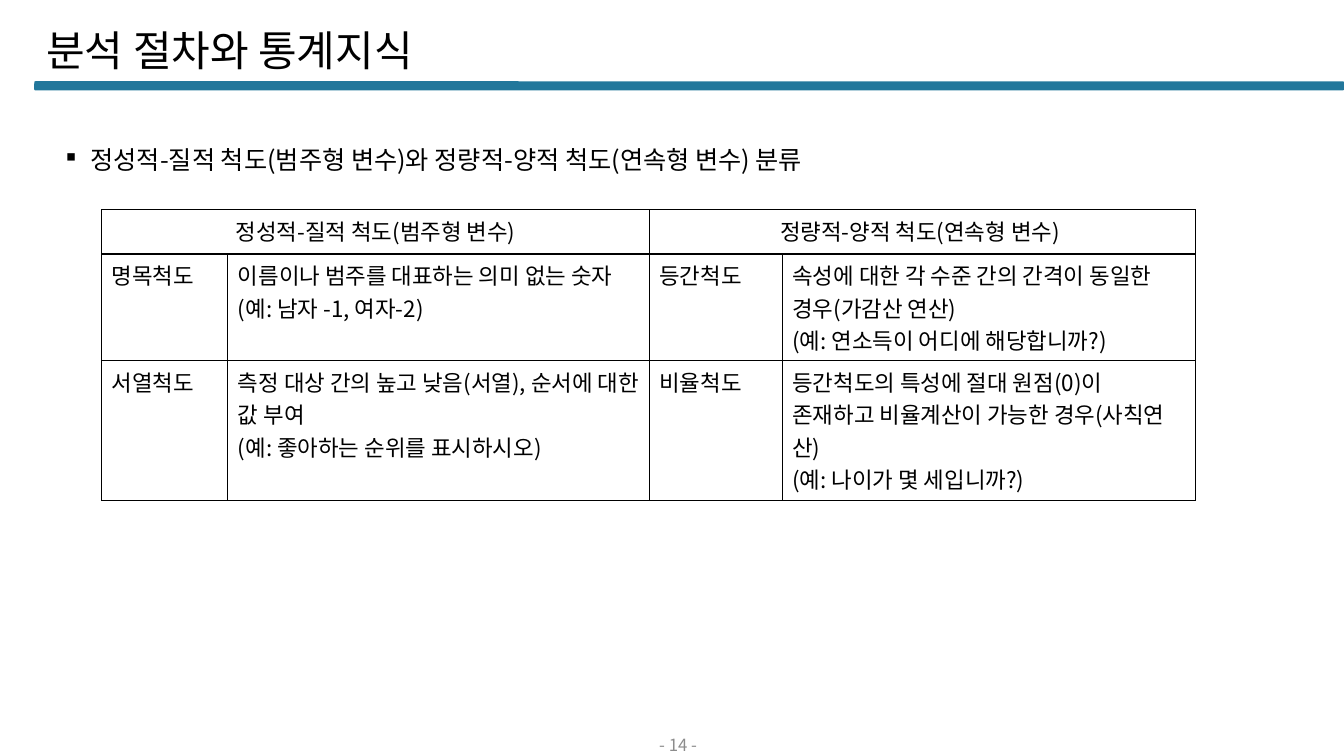
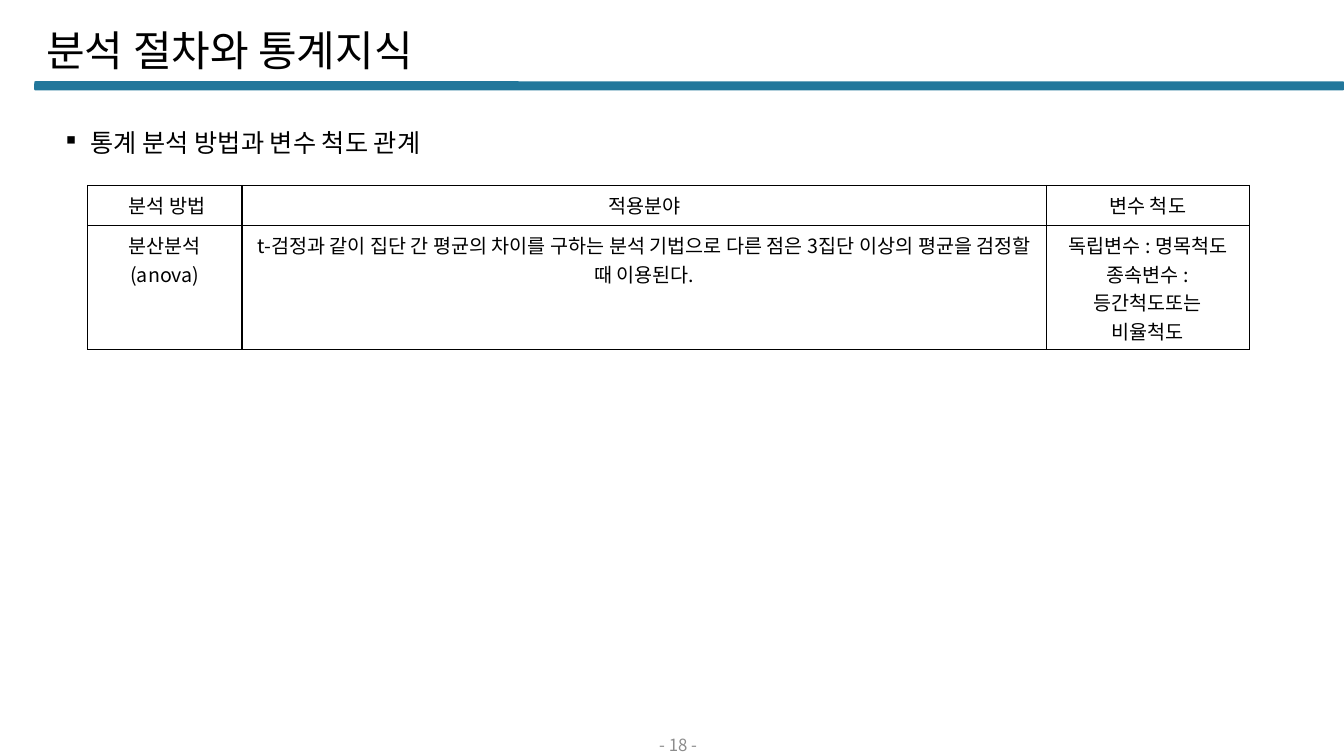
"""Build two slides on measurement scales and the analysis methods that use them."""
from copy import deepcopy
from dataclasses import dataclass
from typing import Any

from lxml.etree import SubElement
from pptx import Presentation
from pptx.dml.color import RGBColor
from pptx.enum.shapes import MSO_SHAPE
from pptx.enum.text import MSO_ANCHOR, MSO_AUTO_SIZE, PP_ALIGN
from pptx.oxml.ns import qn
from pptx.util import Inches, Pt

LEFT, CENTER = PP_ALIGN.LEFT, PP_ALIGN.CENTER
TOP, MIDDLE = MSO_ANCHOR.TOP, MSO_ANCHOR.MIDDLE
NO_AUTOFIT = MSO_AUTO_SIZE.NONE
ROUNDED = MSO_SHAPE.ROUNDED_RECTANGLE

SLIDE_WIDTH, SLIDE_HEIGHT = Inches(13.33), Inches(7.5)
FONT = "Noto Sans CJK KR"
BULLET_FONT, SQUARE = "Wingdings", "§"
BLACK, GREY, TEAL = "000000", "8C8C8C", "22779B"
TITLE = "분석 절차와 통계지식"


@dataclass(frozen=True)
class Area:
    """A rectangle in percent of the slide's width and height."""
    left: float
    top: float
    width: float
    height: float

    def emu(self) -> tuple[int, int, int, int]:
        """Return left, top, width and height in EMU."""
        return across(self.left), down(self.top), across(self.width), down(self.height)


@dataclass(frozen=True)
class Entry:
    """The text of one table cell, its alignment and the columns it spans."""
    text: str
    align: Any = LEFT
    span: int = 1


@dataclass(frozen=True)
class ScaleTable:
    """A ruled table; its lengths are in percent of the slide."""
    left: float
    top: float
    columns: tuple[float, ...]
    heights: tuple[float, ...]
    size: float
    rows: tuple[tuple[Entry, ...], ...]

    def area(self) -> Area:
        """Return the rectangle that the columns and rows fill."""
        return Area(self.left, self.top, sum(self.columns), sum(self.heights))


@dataclass(frozen=True)
class Page:
    """The content of one slide."""
    number: int
    topic: str
    topic_top: float
    table: ScaleTable


def across(percent: float) -> int:
    """Convert a share of the slide's width to EMU."""
    return round(SLIDE_WIDTH * percent / 100)


def down(percent: float) -> int:
    """Convert a share of the slide's height to EMU."""
    return round(SLIDE_HEIGHT * percent / 100)


def color(value: str) -> RGBColor:
    """Return the colour for a hex string."""
    return RGBColor.from_string(value)


def write(frame: Any, text: str, *, size: float, ink: str = BLACK, align: Any = LEFT,
          spacing: float | None = None, before: float | None = None,
          bullet: str | None = None) -> None:
    """Write text into a frame: a newline starts a paragraph, a vertical tab a line."""
    frame.word_wrap = True
    frame.text = text
    for paragraph in frame.paragraphs:
        paragraph.alignment = align
        if spacing is not None:
            paragraph.line_spacing = spacing
        if before is not None:
            paragraph.space_before = Pt(before)
        if bullet is not None:
            add_bullet(paragraph, bullet)
        for run in paragraph.runs:
            run.font.size = Pt(size)
            run.font.name = FONT
            run.font.color.rgb = color(ink)
            SubElement(run.font._element, qn("a:ea"), typeface=FONT)
        for line_break in paragraph._p.findall(qn("a:br")):
            line_break.append(deepcopy(paragraph.runs[0].font._element))


def add_bullet(paragraph: Any, mark: str) -> None:
    """Give a paragraph a hanging bullet."""
    properties = paragraph._p.get_or_add_pPr()
    hang = Inches(0.25)
    properties.set("marL", str(hang))
    properties.set("indent", str(-hang))
    SubElement(properties, qn("a:buFont"), typeface=BULLET_FONT, charset="2")
    SubElement(properties, qn("a:buChar"), char=mark)


def rule_cell(cell: Any) -> None:
    """Draw thin black borders on all sides of a cell and leave it unfilled."""
    properties = cell._tc.get_or_add_tcPr()
    for side in ("lnL", "lnR", "lnT", "lnB"):
        border = SubElement(properties, qn(f"a:{side}"), w=str(Pt(1)))
        SubElement(SubElement(border, qn("a:solidFill")), qn("a:srgbClr"), val=BLACK)
    cell.fill.background()


def draw_table(slide: Any, spec: ScaleTable) -> None:
    """Draw a ruled table with its merged headings."""
    grid = slide.shapes.add_table(len(spec.rows), len(spec.columns), *spec.area().emu()).table
    grid.first_row = grid.horz_banding = False
    for column, width in zip(grid.columns, spec.columns):
        column.width = across(width)
    for row, height in zip(grid.rows, spec.heights):
        row.height = down(height)
    for cell in grid.iter_cells():
        rule_cell(cell)
    for row_index, entries in enumerate(spec.rows):
        start = 0
        for entry in entries:
            cell = grid.cell(row_index, start)
            if entry.span > 1:
                cell.merge(grid.cell(row_index, start + entry.span - 1))
            write(cell.text_frame, entry.text, size=spec.size, align=entry.align)
            start += entry.span


def draw_title(slide: Any) -> None:
    """Place the shared title and the band below it."""
    band = slide.shapes.add_shape(ROUNDED, *Area(2.55, 10.75, 97.45, 1.2).emu())
    band.adjustments[0] = 0.13
    band.shadow.inherit = False
    band.fill.solid()
    band.fill.fore_color.rgb = color(TEAL)
    band.line.fill.background()
    heading = slide.shapes.title
    heading.left, heading.top, heading.width, heading.height = Area(2.7, 3.33, 86.27, 5.87).emu()
    frame = heading.text_frame
    frame.auto_size, frame.vertical_anchor = NO_AUTOFIT, TOP
    write(frame, TITLE, size=30, spacing=0.9)


def draw_footer(slide: Any, number: int) -> None:
    """Place the page number at the foot of the slide."""
    frame = slide.shapes.add_textbox(*Area(38.93, 96.93, 23.33, 3.07).emu()).text_frame
    frame.vertical_anchor = MIDDLE
    write(frame, f"- {number} - ", size=12, ink=GREY, align=CENTER)


def draw_topic(slide: Any, topic: str, top: float) -> None:
    """Place the bulleted topic line above the table."""
    frame = slide.shapes.add_textbox(*Area(4.13, top, 91.9, 7.87).emu()).text_frame
    write(frame, topic, size=18, spacing=0.9, before=10, bullet=SQUARE)


def draw_page(deck: Any, page: Page) -> None:
    """Add one slide with all its parts."""
    slide = deck.slides.add_slide(deck.slide_layouts[5])
    draw_title(slide)
    draw_footer(slide, page.number)
    draw_topic(slide, page.topic, page.topic_top)
    draw_table(slide, page.table)


SCALES = ScaleTable(
    7.58, 27.73, (9.38, 31.36, 9.9, 30.76), (5.87, 14.13, 18.53), 16,
    (
        (Entry("정성적-질적 척도(범주형 변수)", CENTER, 2),
         Entry("정량적-양적 척도(연속형 변수) ", CENTER, 2)),
        (Entry("명목척도"),
         Entry("이름이나 범주를 대표하는 의미 없는 숫자(예: 남자 -1, 여자-2)"),
         Entry("등간척도"),
         Entry("속성에 대한 각 수준 간의 간격이 동일한 경우(가감산 연산) "
               "\v(예: 연소득이 어디에 해당합니까?)")),
        (Entry("서열척도"),
         Entry("측정 대상 간의 높고 낮음(서열), 순서에 대한 값 부여"
               "\v(예: 좋아하는 순위를 표시하시오)"),
         Entry("비율척도"),
         Entry("등간척도의 특성에 절대 원점(0)이 존재하고 비율계산이 가능한 경우(사칙연산)"
               "\v(예: 나이가 몇 세입니까?)")),
    ),
)

METHODS = ScaleTable(
    6.53, 24.53, (11.48, 59.86, 15.08), (5.33, 16.4), 14,
    (
        (Entry(" 분석 방법", CENTER), Entry("적용분야", CENTER), Entry("변수 척도", CENTER)),
        (Entry("분산분석\n(anova)", CENTER),
         Entry("t-검정과 같이 집단 간 평균의 차이를 구하는 분석 기법으로 다른 점은 "
               "3집단 이상의 평균을 검정할 때 이용된다.", CENTER),
         Entry("독립변수 : 명목척도\v종속변수 : 등간척도또는 비율척도", CENTER)),
    ),
)

PAGES = (
    Page(14, "정성적-질적 척도(범주형 변수)와 정량적-양적 척도(연속형 변수) 분류", 18.93, SCALES),
    Page(18, "통계 분석 방법과 변수 척도 관계", 16.67, METHODS),
)


def main() -> None:
    """Build and save the deck."""
    deck = Presentation()
    deck.slide_width, deck.slide_height = SLIDE_WIDTH, SLIDE_HEIGHT
    for page in PAGES:
        draw_page(deck, page)
    deck.save("out.pptx")


main()
